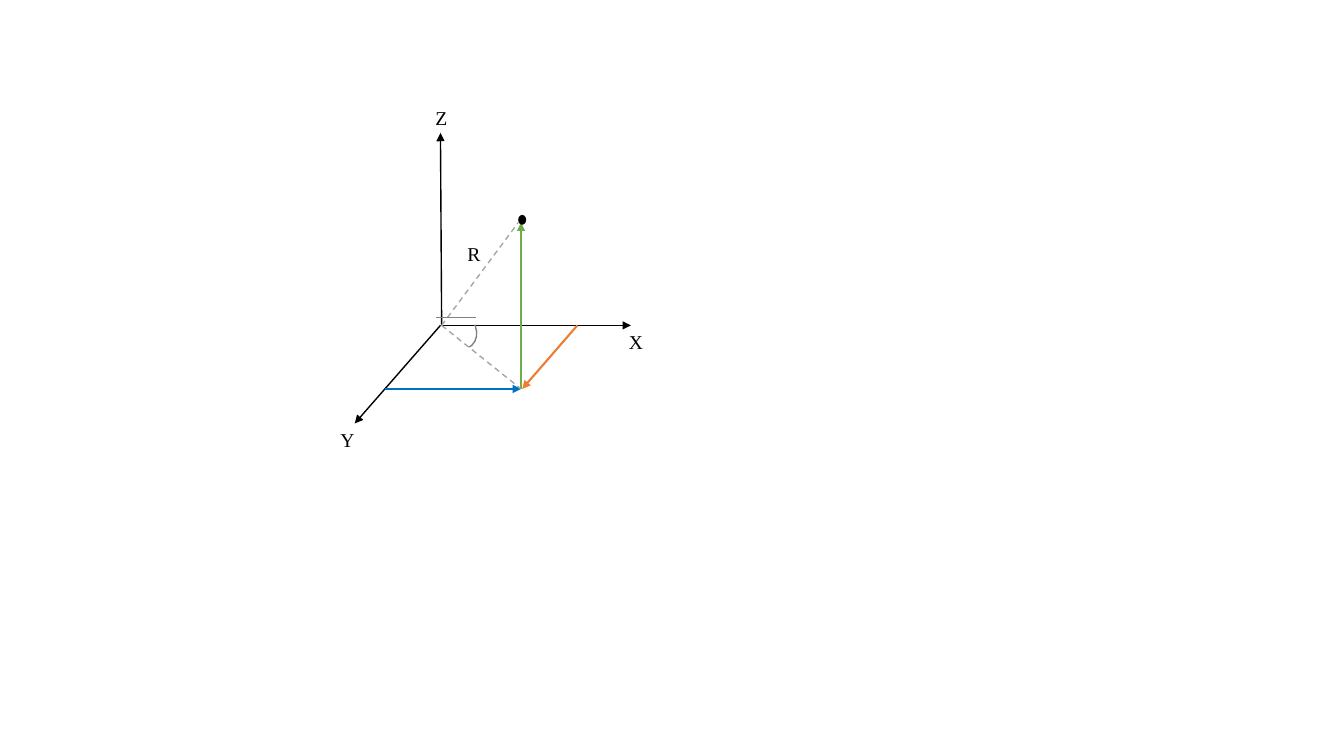
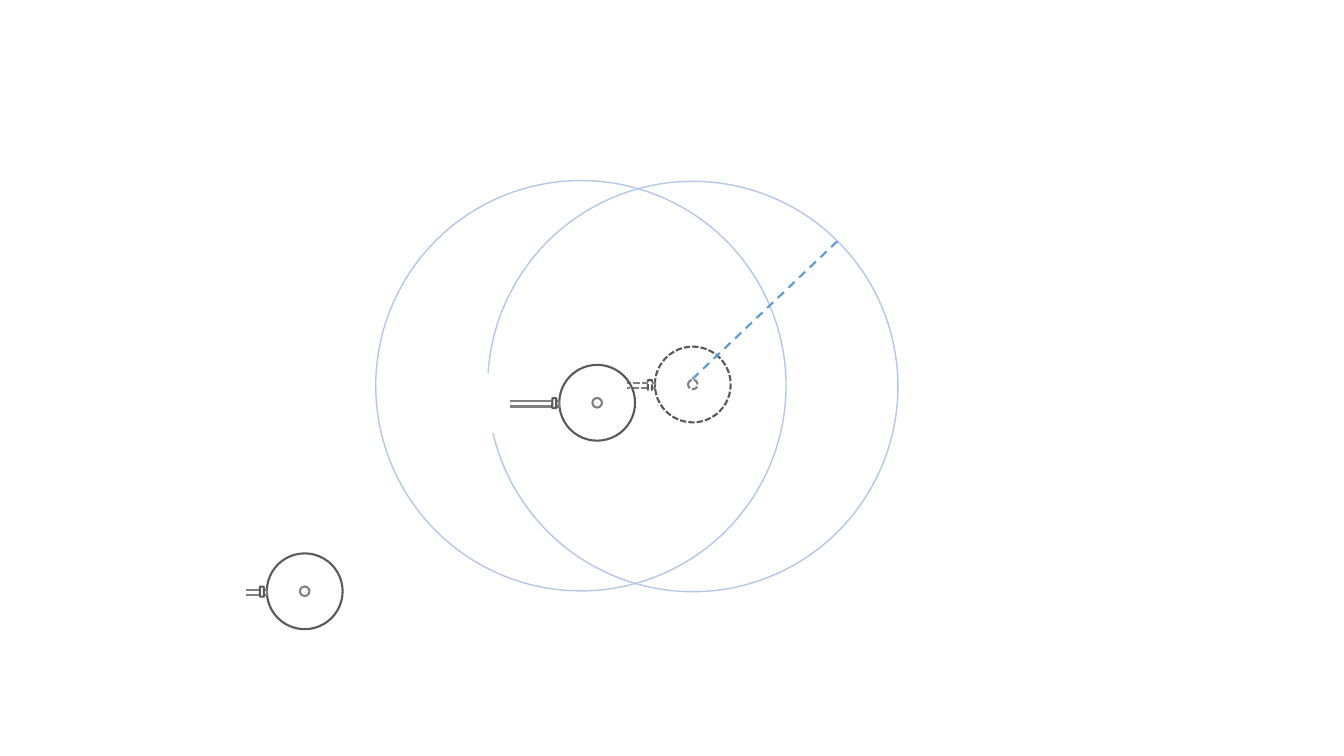
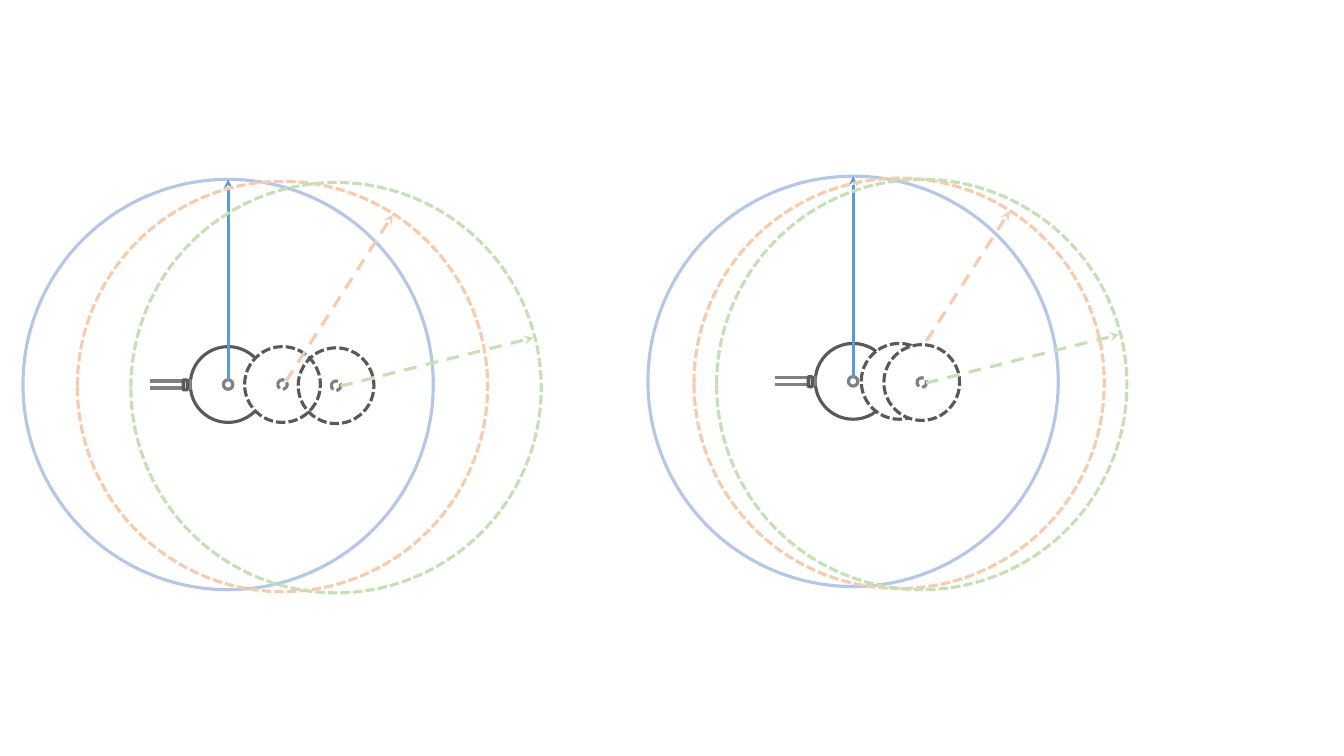
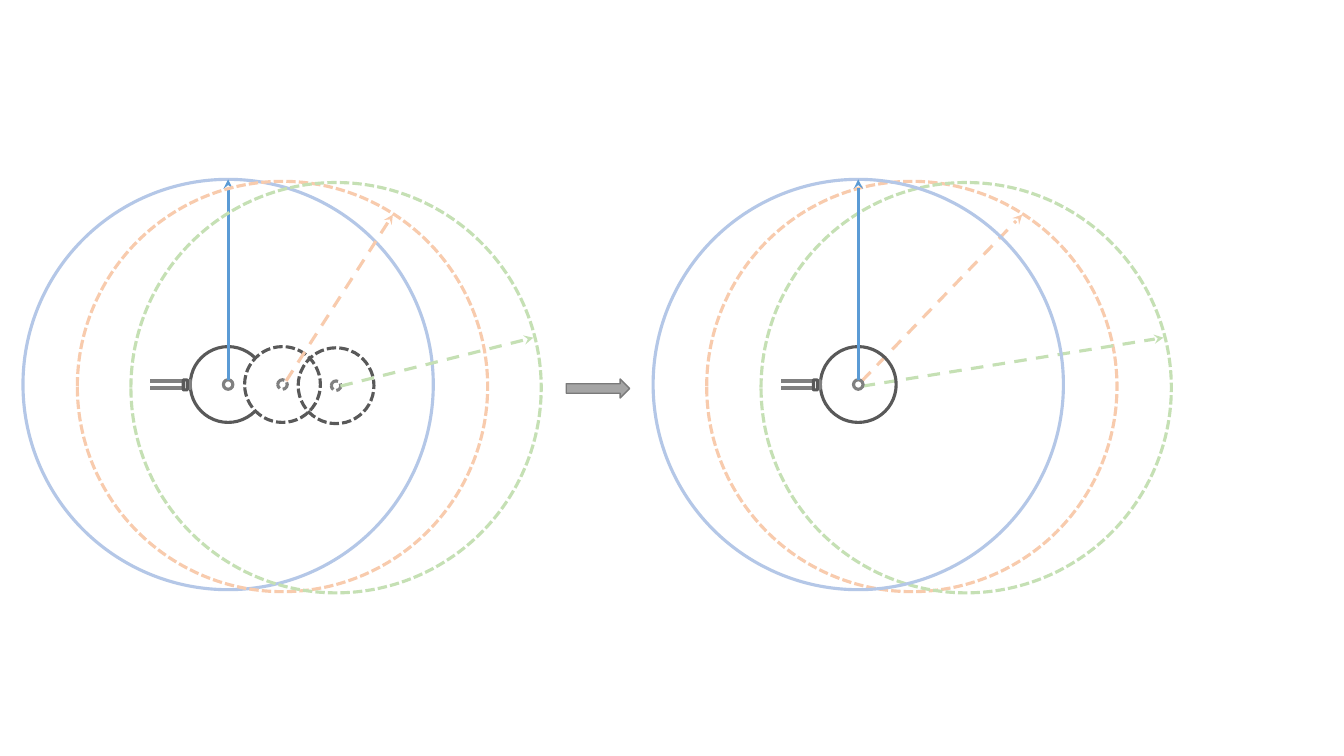
"""Build four slides on spherical coordinates and the reach of a moving robot."""
from lxml import etree
from pptx import Presentation
from pptx.dml.color import RGBColor
from pptx.enum import dml, shapes, text
from pptx.oxml.ns import qn
from pptx.util import Cm, Pt

MSO = shapes.MSO_SHAPE
DASH, SHORT_DASH = dml.MSO_LINE.DASH, dml.MSO_LINE.SQUARE_DOT
BLACK, WHITE, DARK, GREY, LIGHT_GREY = "000000", "FFFFFF", "595959", "808080", "A6A6A6"
BLUE, PALE_BLUE, PALE_ORANGE, PALE_GREEN = "5B9BD5", "B4C7E7", "F8CBAD", "C5E0B4"
REACH, BODY, HUB = 10.34, 1.91, 0.24
rgb = RGBColor.from_string


def draw(slide, kind, x, y, dx, dy, line=None, weight=1, dash=None, fill=None, head=None):
    """Draw a shape centred on x, y, or, without a kind, a line from x, y by dx, dy."""
    if kind is None:
        ends = map(Cm, (x, y, x + dx, y + dy))
        part = slide.shapes.add_connector(shapes.MSO_CONNECTOR.STRAIGHT, *ends)
    else:
        part = slide.shapes.add_shape(kind, *map(Cm, (x - dx / 2, y - dy / 2, dx, dy)))
        part.shadow.inherit = False
        if fill:
            part.fill.solid()
            part.fill.fore_color.rgb = rgb(fill)
        else:
            part.fill.background()
    if line:
        part.line.color.rgb = rgb(line)
        for name, value in {"width": Pt(weight), "dash_style": dash}.items():
            setattr(part.line, name, value)
    else:
        part.line.fill.background()
    if kind is None:
        properties = part.element.spPr
        if head:
            etree.SubElement(properties.find(qn("a:ln")), qn("a:tailEnd"), type=head)
        etree.SubElement(properties, qn("a:effectLst"))
    return part


def robot(slide, x, y, weight, dash=None, fill=None, arm=None):
    """Draw a robot from above, with its arm cut off by a white mask."""
    draw(slide, MSO.OVAL, x, y, BODY, BODY, DARK, weight, dash, fill)
    draw(slide, MSO.OVAL, x, y, HUB, HUB, GREY, weight, dash)
    if arm:
        length, thickness, drop, mask_x, mask_width, mask_height = arm
        draw(slide, MSO.RECTANGLE, x - (BODY + length) / 2, y + drop, length, thickness,
             GREY, weight, dash)
        draw(slide, MSO.ROUNDED_RECTANGLE, x - 1.08, y + 0.01, 0.1, 0.25,
             DARK, weight, dash, WHITE)
        draw(slide, MSO.RECTANGLE, x + mask_x, y, mask_width, mask_height,
             WHITE, weight, fill=WHITE)


deck = Presentation()
deck.slide_width, deck.slide_height = Cm(33.87), Cm(19.05)
axes, shift, compare, merge = [deck.slides.add_slide(deck.slide_layouts[6]) for _ in range(4)]

for x, y, end_x, end_y, colour, weight, dash, head in (
    (11.13, 8.2, 11.1, 3.35, BLACK, 1, None, "triangle"),
    (11.13, 8.2, 15.9, 8.2, BLACK, 1, None, "triangle"),
    (11.1, 8.2, 8.94, 10.67, BLACK, 1, None, "triangle"),
    (9.7, 9.8, 13.13, 9.8, "0070C0", 1.5, None, "triangle"),
    (14.55, 8.2, 13.16, 9.8, "ED7D31", 1.5, None, "triangle"),
    (13.13, 9.8, 13.13, 5.61, "70AD47", 1.5, None, "triangle"),
    (11.13, 8.2, 13.13, 9.8, LIGHT_GREY, 1, DASH, None),
    (11.13, 8.2, 13.06, 5.61, LIGHT_GREY, 1, DASH, None),
):
    draw(axes, None, x, y, end_x - x, end_y - y, colour, weight, dash, head=head)
draw(axes, MSO.OVAL, 13.16, 5.54, 0.2, 0.25, fill=BLACK)

azimuth = draw(axes, MSO.ARC, 11.51, 8.29, 1.12, 0.89, GREY)
azimuth.rotation = 46.3
azimuth.adjustments[0], azimuth.adjustments[1] = 180.49, 5.3

curve = ((11.51, 7.67), (11.58, 7.82), (11.66, 7.98), (11.63, 8.1),
         (11.63, 8.23), (11.51, 8.38), (11.43, 8.46))
points = [
    tuple((1 - t) ** 3 * a + 3 * (1 - t) ** 2 * t * b + 3 * (1 - t) * t ** 2 * c + t ** 3 * d
          for a, b, c, d in zip(*curve[first:first + 4]))
    for first in (0, 3) for t in (step / 8 for step in range(9))
]
outline = axes.shapes.build_freeform(*points[0], scale=Cm(1))
outline.add_line_segments(points[1:], close=False)
elevation = outline.convert_to_shape()
elevation.shadow.inherit = False
elevation.fill.background()
elevation.line.color.rgb = rgb(GREY)
elevation.line.width = Pt(1)

for letter, x, y in (("X", 15.6, 8.2), ("Z", 10.72, 2.54), ("Y", 8.33, 10.67), ("R", 11.53, 5.97)):
    frame = axes.shapes.add_textbox(*map(Cm, (x, y, 0.58, 0.86))).text_frame
    frame.word_wrap = True
    frame.auto_size = text.MSO_AUTO_SIZE.SHAPE_TO_FIT_TEXT
    run = frame.paragraphs[0].add_run()
    run.text = letter
    for name, value in {"name": "Times New Roman", "size": Pt(14)}.items():
        setattr(run.font, name, value)
    run.font.color.rgb = rgb(BLACK)

robot(shift, 7.68, 14.9, 1.5, arm=(1.57, 0.13, 0.03, -2.04, 1.09, 1.47))
draw(shift, MSO.OVAL, 14.64, 9.72, REACH, REACH, PALE_BLUE)
robot(shift, 17.46, 9.69, 1.5, SHORT_DASH, arm=(0.84, 0.13, 0.03, -1.75, 0.13, 0.28))
draw(shift, MSO.OVAL, 17.46, 9.74, REACH, REACH, PALE_BLUE)
draw(shift, None, 17.45, 9.55, 3.66, -3.48, BLUE, 1.5, DASH)
robot(shift, 15.05, 10.15, 1.5, arm=(1.57, 0.13, 0.03, -2.76, 1.09, 1.47))

for slide, x, y, second_gap, third_gap, third_fill, merged in (
    (compare, 5.75, 9.69, 1.37, 2.72, None, False),
    (compare, 21.5, 9.61, 1.16, 1.73, WHITE, False),
    (merge, 5.75, 9.69, 1.37, 2.72, None, False),
    (merge, 21.63, 9.69, 1.35, 2.72, None, True),
):
    stations = [
        (0, 0, 0, PALE_BLUE, None, (0, -0.11), (0, -5.17)),
        (second_gap, 0, 0.05, PALE_ORANGE, WHITE, (0.09, -0.09), (2.78, -4.28)),
        (third_gap, 0.03, 0.05, PALE_GREEN, third_fill, (0.11, 0.01), (4.97, -1.21)),
    ]
    if merged:
        stations = stations[1:] + stations[:1]
    for gap, drop, ring_drop, colour, fill, start, tip in stations:
        centre_x, centre_y = x + gap, y + drop
        origin_x = x if merged else centre_x
        moved = gap > 0
        if not moved:
            robot(slide, x, y, 2.25, arm=(1.37, 0.18, 0, -2.16, 0.33, 0.69))
        elif not merged and colour == PALE_GREEN:
            robot(slide, centre_x, centre_y, 2.25, SHORT_DASH, fill)
        draw(slide, MSO.OVAL, centre_x, centre_y + ring_drop, REACH, REACH,
             colour, 2.25, SHORT_DASH if moved else None)
        if not merged and colour == PALE_ORANGE:
            robot(slide, centre_x, centre_y, 2.25, SHORT_DASH, fill)
        draw(slide, None, origin_x + start[0], centre_y + start[1],
             centre_x + tip[0] - origin_x - start[0], tip[1] - start[1],
             colour if moved else BLUE, 2.25, DASH if moved else None, head="stealth")
draw(merge, MSO.RIGHT_ARROW, 15.07, 9.79, 1.6, 0.48, "7A7A7A", fill="A5A5A5")

deck.save("out.pptx")
